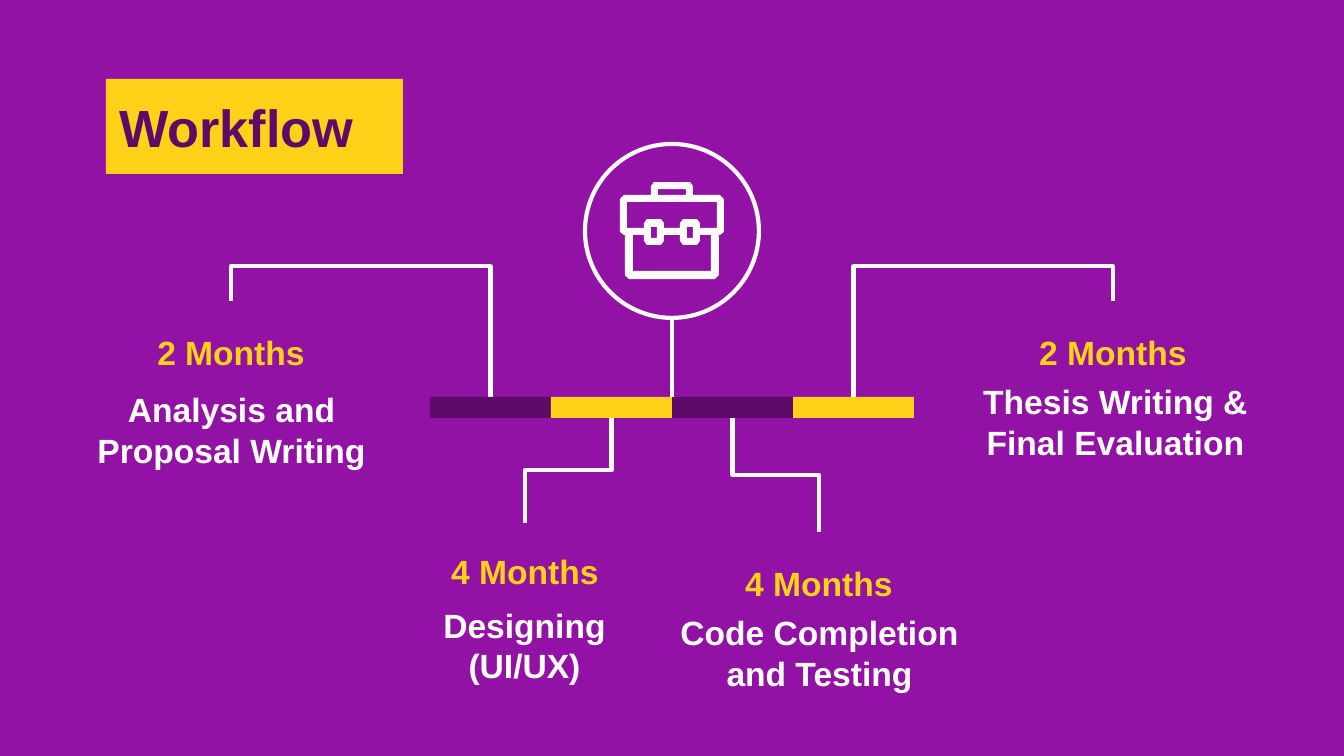
from lxml import etree
from pptx import Presentation
from pptx import util as u
from pptx.dml.color import RGBColor
from pptx.enum import shapes, text
from pptx.oxml.ns import qn

WIDTH, HEIGHT = 1344, 756
SCALE = u.Inches(10) / WIDTH
FONT = "Arial"
COLORS = {"background": "9312A6", "yellow": "FFD119", "plum": "5C0B68", "white": "FFFFFF"}

TITLE = ("Workflow", (106, 79, 297, 95))
# Duration, its top and height, description, its box, connector bend
PHASES = [
    ("2 Months", 301, 85, ["Analysis and Proposal Writing"], (71, 376, 321, 134), -0.36),
    ("4 Months", 523, 82, ["Designing", "(UI/UX)"], (376, 591, 297, 148), 0.5),
    ("4 Months", 532, 85, ["Code Completion and Testing"], (660, 599, 319, 140), 0.5),
    ("2 Months", 301, 85, ["Thesis Writing & Final Evaluation"], (953, 368, 325, 134), -0.36),
]
FIRST_CENTER, CENTER_STEP, DURATION_WIDTH = 231, 294, 247
BAR_LEFT, BAR_TOP, SEGMENT_WIDTH, BAR_HEIGHT = 430, 397, 121, 21
MIDDLE = WIDTH // 2
CIRCLE_TOP, CIRCLE_SIZE = 144, 174

# Right halves of the briefcase contours: offset from the middle, y
BRIEFCASE_HALVES = [
    [(18, 182), (21, 186), (21, 195), (48, 195), (52, 199), (52, 232), (48, 235),
     (47, 235), (47, 275), (43, 279)],
    [(14, 189), (14, 195)],
    [(45, 202), (45, 228), (28, 228), (28, 223), (25, 219), (11, 219), (8, 223), (8, 228)],
    [(8, 235), (8, 241), (11, 245), (25, 245), (28, 241), (28, 235), (39, 235), (39, 271)],
]
CLASP_HOLE = [(15, 227), (21, 227), (21, 238), (15, 238)]


def px(value):
    return u.Emu(round(value * SCALE))


def color(name):
    return RGBColor.from_string(COLORS[name])


def write(shape, lines, size, color_name, anchor, align):
    frame = shape.text_frame
    frame.word_wrap = True
    frame.vertical_anchor = anchor
    frame.margin_left = frame.margin_right = u.Inches(0.1)
    frame.margin_top = frame.margin_bottom = u.Inches(0.1)
    for index, line in enumerate(lines):
        paragraph = frame.add_paragraph() if index else frame.paragraphs[0]
        paragraph.alignment = align
        run = paragraph.add_run()
        run.text = line
        run.font.name, run.font.size, run.font.bold = FONT, u.Pt(size), True
        run.font.color.rgb = color(color_name)


def add_label(slide, box, lines, color_name, anchor):
    label = slide.shapes.add_textbox(*map(px, box))
    write(label, lines, 18, color_name, anchor, text.PP_ALIGN.CENTER)


def add_filled(slide, box, color_name):
    shape = slide.shapes.add_shape(shapes.MSO_SHAPE.RECTANGLE, *map(px, box))
    shape.shadow.inherit = False
    shape.fill.solid()
    shape.fill.fore_color.rgb = color(color_name)
    shape.line.fill.background()
    return shape


def add_line(slide, kind, x1, y1, x2, y2):
    line = slide.shapes.add_connector(kind, *map(px, (x1, y1, x2, y2)))
    line.line.color.rgb = color("white")
    line.line.width = u.Pt(2.25)
    etree.SubElement(line._element.spPr, qn("a:effectLst"))
    return line


def add_elbow(slide, x1, y1, x2, y2, bend):
    """Draw an elbow that leaves and arrives vertically: a quarter-turned connector."""
    width, height = abs(y2 - y1), abs(x2 - x1)
    left, top = (x1 + x2 - width) / 2, (y1 + y2 - height) / 2
    elbow = add_line(slide, shapes.MSO_CONNECTOR.ELBOW, left, top, left + width, top + height)
    properties = elbow._element.spPr
    transform = properties.find(qn("a:xfrm"))
    transform.set("rot", str(90 * 60000))
    transform.set("flipH", str(int(y2 < y1)))
    transform.set("flipV", str(int(x2 > x1)))
    adjustments = properties.find(qn("a:prstGeom")).find(qn("a:avLst"))
    etree.SubElement(adjustments, qn("a:gd"), name="adj1", fmla=f"val {round(bend * 100000)}")


def add_briefcase(slide):
    contours = [half + [(-x, y) for x, y in reversed(half)] for half in BRIEFCASE_HALVES]
    contours += [[(side * x, y) for x, y in CLASP_HOLE] for side in (-1, 1)]
    contours = [[(MIDDLE + x, y) for x, y in contour] for contour in contours]
    builder = slide.shapes.build_freeform(*contours[0][0], scale=SCALE)
    for index, contour in enumerate(contours):
        if index:
            builder.move_to(*contour[0])
        builder.add_line_segments(contour[1:], close=True)
    briefcase = builder.convert_to_shape()
    briefcase.shadow.inherit = False
    briefcase.fill.solid()
    briefcase.fill.fore_color.rgb = color("white")
    briefcase.line.fill.background()


def main():
    presentation = Presentation()
    presentation.slide_width, presentation.slide_height = px(WIDTH), px(HEIGHT)
    slide = presentation.slides.add_slide(presentation.slide_layouts[6])
    slide.background.fill.solid()
    slide.background.fill.fore_color.rgb = color("background")

    title, title_box = TITLE
    write(add_filled(slide, title_box, "yellow"), [title], 28, "plum",
          text.MSO_ANCHOR.MIDDLE, text.PP_ALIGN.LEFT)

    for index, (duration, top, height, lines, box, bend) in enumerate(PHASES):
        center = FIRST_CENTER + index * CENTER_STEP
        segment_left = BAR_LEFT + index * SEGMENT_WIDTH
        add_label(slide, (center - DURATION_WIDTH / 2, top, DURATION_WIDTH, height),
                  [duration], "yellow", text.MSO_ANCHOR.BOTTOM)
        add_label(slide, box, lines, "white", text.MSO_ANCHOR.TOP)
        bar_edge = BAR_TOP if top < BAR_TOP else BAR_TOP + BAR_HEIGHT
        add_elbow(slide, center, top, segment_left + SEGMENT_WIDTH / 2, bar_edge, bend)
        add_filled(slide, (segment_left, BAR_TOP, SEGMENT_WIDTH, BAR_HEIGHT),
                   "yellow" if index % 2 else "plum")

    circle = slide.shapes.add_shape(
        shapes.MSO_SHAPE.OVAL,
        *map(px, (MIDDLE - CIRCLE_SIZE / 2, CIRCLE_TOP, CIRCLE_SIZE, CIRCLE_SIZE)))
    circle.shadow.inherit = False
    circle.fill.background()
    circle.line.color.rgb = color("white")
    circle.line.width = u.Pt(2.25)
    add_line(slide, shapes.MSO_CONNECTOR.STRAIGHT,
             MIDDLE, CIRCLE_TOP + CIRCLE_SIZE, MIDDLE, BAR_TOP)
    add_briefcase(slide)
    presentation.save("out.pptx")


if __name__ == "__main__":
    main()
